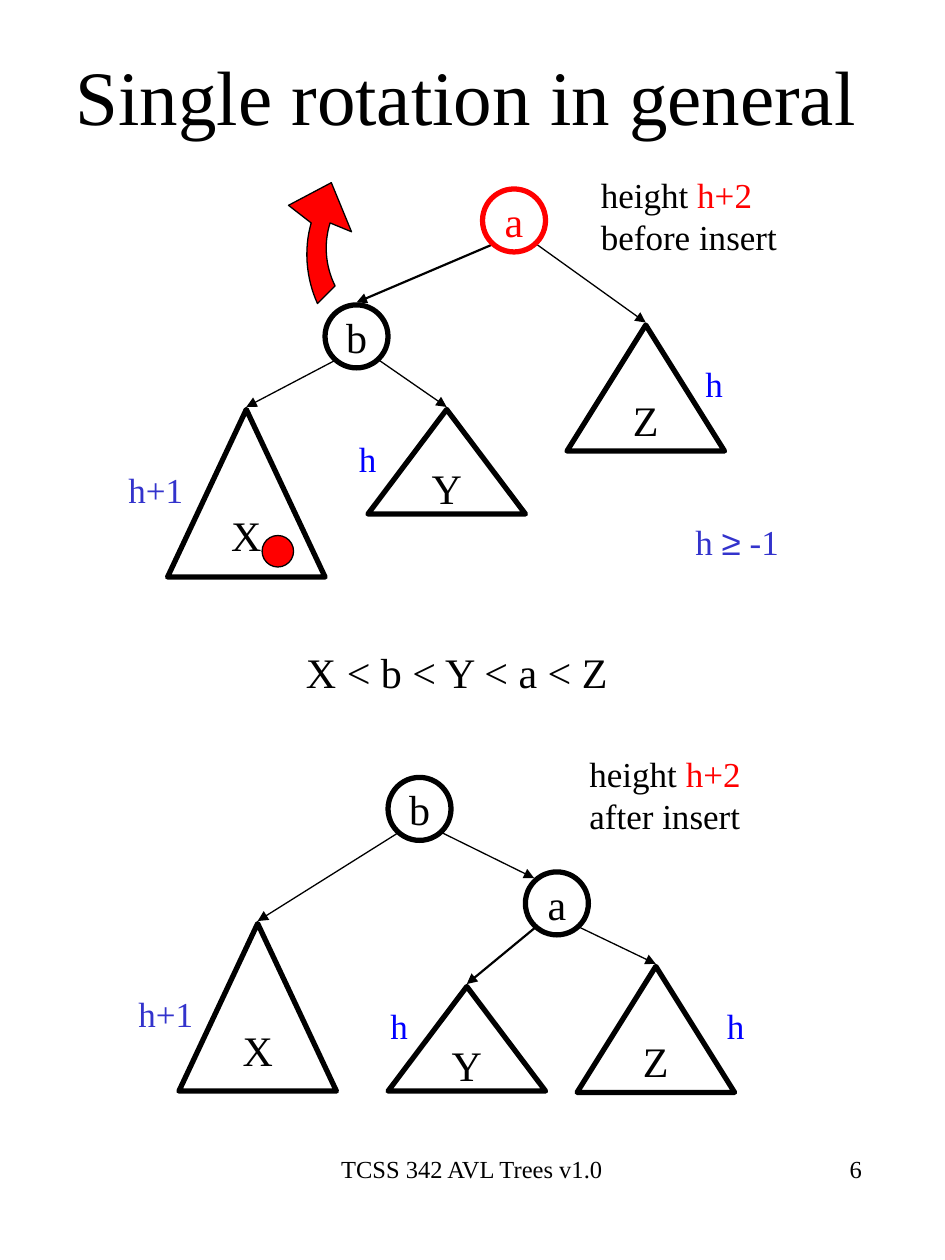
import lxml.etree
import pptx
import pptx.dml.color
import pptx.enum.shapes
import pptx.enum.text
import pptx.oxml.ns
import pptx.util

Inches = pptx.util.Inches
Align = pptx.enum.text.PP_ALIGN
Anchor = pptx.enum.text.MSO_ANCHOR
Shape = pptx.enum.shapes.MSO_SHAPE

COLORS = {"black": "000000", "red": "FF0000", "blue": "0000FF", "indigo": "3333CC"}
FONT = "Times New Roman"
NODE_SIZE = 0.5
SUBTREE_WIDTH = 1.25

# Nodes: name -> left, top, color. Subtrees: name -> left, top, height.
# Edges: parent, child, side of the parent, side of the child, line width.
TREES = [
    {
        "nodes": {"a": (3.83, 1.5, "red"), "b": (2.58, 2.42, "black")},
        "subtrees": {"X": (1.33, 3.25, 1.33), "Y": (2.92, 3.25, 0.83), "Z": (4.5, 2.58, 1)},
        "edges": [("a", "b", "left", "top", 1.25), ("a", "Z", "right", "top", 0.75),
                  ("b", "X", "left", "top", 0.75), ("b", "Y", "right", "top", 0.75)],
    },
    {
        "nodes": {"b": (3.08, 6.17, "black"), "a": (4.17, 6.92, "black")},
        "subtrees": {"X": (1.42, 7.33, 1.33), "Y": (3.08, 7.83, 0.83), "Z": (4.58, 7.67, 1)},
        "edges": [("b", "X", "left", "top", 0.75), ("b", "a", "right", "corner", 0.75),
                  ("a", "Y", "left", "top", 1.25), ("a", "Z", "right", "top", 0.75)],
    },
]

# Left, top, width, height, size, alignment, paragraphs of (text, color, font) runs.
TEXTS = [
    (left, top, 0.67, 0.44, 20, Align.LEFT, [[("h+1", "indigo", FONT)]])
    for left, top in [(0.92, 3.67), (1, 7.83)]
] + [
    (left, top, 0.34, 0.44, 20, Align.LEFT, [[("h", "blue", FONT)]])
    for left, top in [(2.75, 3.42), (5.5, 2.83), (3, 7.92), (5.67, 7.92)]
] + [
    (left, top, 1.67, 0.77, 20, Align.LEFT,
     [[("height ", "black", FONT), ("h+2", "red", FONT)], [(moment, "black", FONT)]])
    for left, top, moment in [(4.67, 1.33, "before insert"), (4.58, 5.92, "after insert")]
] + [
    (5.42, 4.08, 0.92, 0.77, 20, Align.LEFT,
     [[("h ", "indigo", FONT), ("≥", "indigo", "Arial"), (" -1", "indigo", FONT)]]),
    (2.33, 5.08, 2.75, 0.5, 24, Align.LEFT, [[("X < b < Y < a < Z", "black", FONT)]]),
    (2.56, 9.11, 2.37, 0.67, 14, Align.CENTER, [[("TCSS 342 AVL Trees v1.0", "black", FONT)]]),
    (5.38, 9.11, 1.56, 0.67, 14, Align.RIGHT, [[("6", "black", FONT)]]),
]

# Rotation arrow: two Bezier curves for the shaft, then the three head points.
INNER_CURVE = [(2.62, 1.77), (2.57, 1.93), (2.58, 2.11), (2.66, 2.27)]
OUTER_CURVE = [(2.52, 2.41), (2.43, 2.21), (2.41, 1.98), (2.47, 1.77)]
ARROW_HEAD = [(2.29, 1.63), (2.63, 1.45), (2.79, 1.84)]


def rgb(color):
    return pptx.dml.color.RGBColor.from_string(COLORS[color])


def style(shape, width, line="black", fill=None):
    shape.shadow.inherit = False
    if fill:
        shape.fill.solid()
        shape.fill.fore_color.rgb = rgb(fill)
    else:
        shape.fill.background()
    shape.line.color.rgb = rgb(line)
    shape.line.width = pptx.util.Pt(width)


def set_font(font, size, color):
    font.name = FONT
    font.size = pptx.util.Pt(size)
    font.color.rgb = rgb(color)


def add_labelled(slide, kind, place, name, color="black"):
    shape = slide.shapes.add_shape(kind, *map(Inches, place))
    style(shape, 3, line=color)
    frame = shape.text_frame
    frame.word_wrap = False
    frame.vertical_anchor = Anchor.MIDDLE
    para = frame.paragraphs[0]
    para.text = name
    para.alignment = Align.CENTER
    set_font(para.font, 24, color)


def add_edge(slide, start, end, width):
    edge = slide.shapes.add_connector(
        pptx.enum.shapes.MSO_CONNECTOR.STRAIGHT, *map(Inches, start + end))
    edge.line.color.rgb = rgb("black")
    edge.line.width = pptx.util.Pt(width)
    tag = pptx.oxml.ns.qn
    lxml.etree.SubElement(edge.line._get_or_add_ln(), tag("a:tailEnd"), type="triangle")
    lxml.etree.SubElement(edge._element.spPr, tag("a:effectLst"))


def add_tree(slide, tree):
    nodes, subtrees = tree["nodes"], tree["subtrees"]
    for parent, child, from_side, to_side, width in tree["edges"]:
        left, top = nodes[parent][:2]
        start = (left + (0.08 if from_side == "left" else 0.43), top + 0.44)
        left, top = (nodes.get(child) or subtrees[child])[:2]
        child_width = NODE_SIZE if child in nodes else SUBTREE_WIDTH
        if to_side == "corner":
            end = (left + 0.07, top + 0.05)
        else:
            end = (left + child_width / 2, top - 0.02)
        add_edge(slide, start, end, width)
    for name, (left, top, color) in nodes.items():
        add_labelled(slide, Shape.OVAL, (left, top, NODE_SIZE, NODE_SIZE), name, color)
    for name, (left, top, height) in subtrees.items():
        add_labelled(slide, Shape.ISOSCELES_TRIANGLE, (left, top, SUBTREE_WIDTH, height), name)


def curve_points(controls, steps=16):
    """Sample a cubic Bezier curve from its four control points."""
    points = []
    for step in range(steps + 1):
        t = step / steps
        weights = ((1 - t) ** 3, 3 * t * (1 - t) ** 2, 3 * t ** 2 * (1 - t), t ** 3)
        points.append(tuple(sum(w * point[axis] for w, point in zip(weights, controls))
                            for axis in (0, 1)))
    return points


def add_rotation_arrow(slide):
    outline = curve_points(INNER_CURVE) + curve_points(OUTER_CURVE) + ARROW_HEAD
    points = [(Inches(x), Inches(y)) for x, y in outline]
    builder = slide.shapes.build_freeform(*points[0])
    builder.add_line_segments(points[1:], close=True)
    style(builder.convert_to_shape(), 0.75, fill="red")


def add_text(slide, left, top, width, height, size, alignment, paragraphs):
    box = slide.shapes.add_textbox(*map(Inches, (left, top, width, height)))
    frame = box.text_frame
    frame.word_wrap = True
    for index, runs in enumerate(paragraphs):
        para = frame.add_paragraph() if index else frame.paragraphs[0]
        para.alignment = alignment
        para.font.size = pptx.util.Pt(size)
        for text, color, font in runs:
            span = para.add_run()
            span.text = text
            span.font.name = font
            span.font.color.rgb = rgb(color)


def main():
    deck = pptx.Presentation()
    deck.slide_width, deck.slide_height = Inches(7.5), Inches(10)
    slide = deck.slides.add_slide(deck.slide_layouts.get_by_name("Title Only"))

    title = slide.shapes.title
    title.left, title.top, title.width, title.height = map(Inches, (0.5, 0.25, 6.58, 1))
    title.text_frame.text = "Single rotation in general"
    title.text_frame.vertical_anchor = Anchor.MIDDLE
    title.text_frame.auto_size = pptx.enum.text.MSO_AUTO_SIZE.NONE
    para = title.text_frame.paragraphs[0]
    para.alignment = Align.LEFT
    set_font(para.font, 44, "black")

    for tree in TREES:
        add_tree(slide, tree)
    add_rotation_arrow(slide)
    inserted = slide.shapes.add_shape(Shape.OVAL, *map(Inches, (2.08, 4.25, 0.25, 0.25)))
    style(inserted, 0.75, fill="red")
    for text in TEXTS:
        add_text(slide, *text)
    deck.save("out.pptx")


if __name__ == "__main__":
    main()
